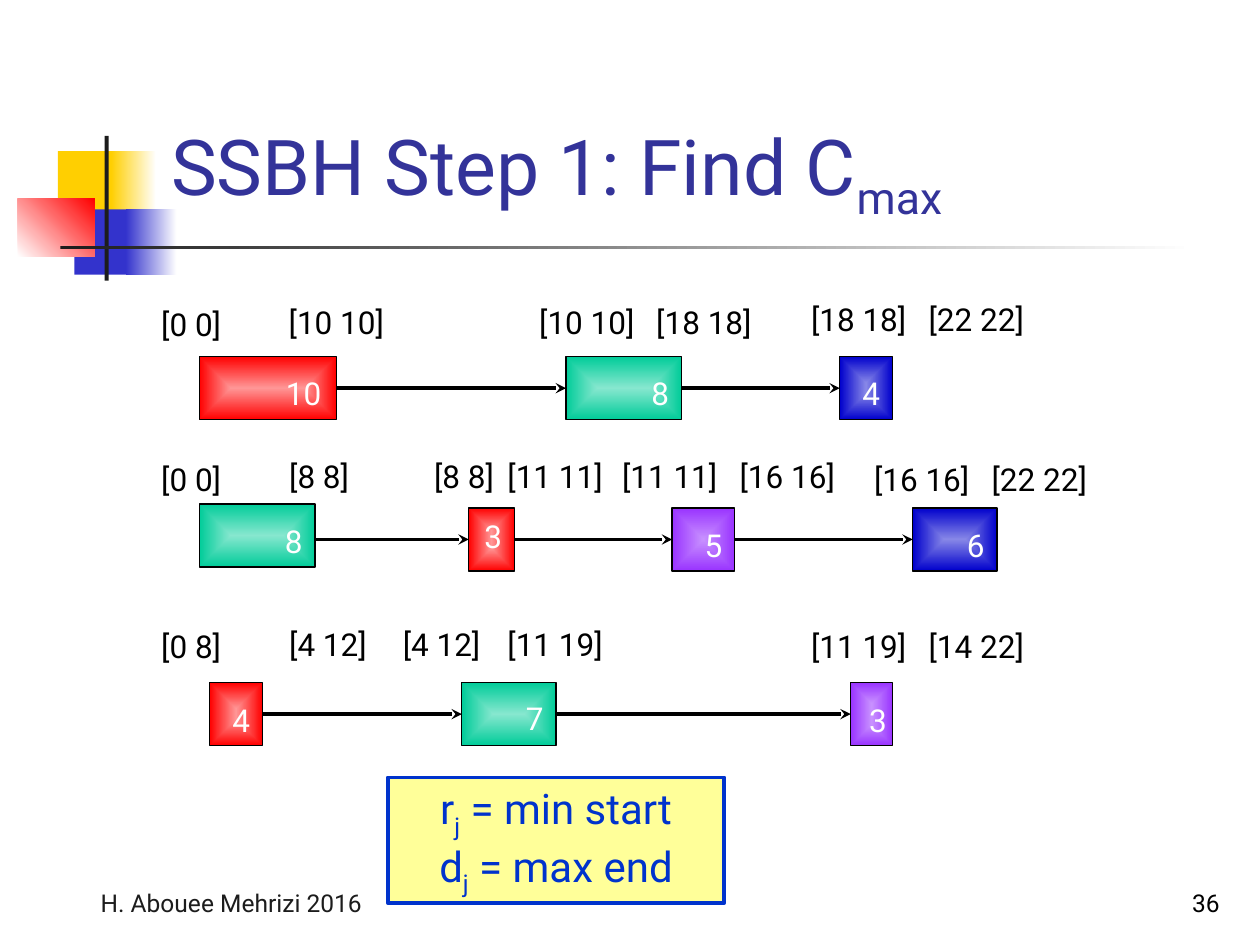
from dataclasses import dataclass

from lxml.etree import SubElement
from pptx import Presentation
from pptx.dml.color import RGBColor
from pptx.enum.shapes import MSO_CONNECTOR, MSO_SHAPE
from pptx.enum.text import MSO_ANCHOR, PP_ALIGN
from pptx.oxml.ns import qn
from pptx.util import Cm, Pt


@dataclass(frozen=True)
class Theme:
    font: str = "Roboto"
    title_size: int = 44
    note_size: int = 24
    label_size: int = 18
    footer_size: int = 14
    title: str = "333399"
    ink: str = "000000"
    dark: str = "1C1C1C"
    white: str = "FFFFFF"
    yellow: str = "FFCF01"
    blue: str = "3333CC"
    bright_red: str = "FF0000"
    note_fill: str = "FFFF99"
    note_line: str = "0033CC"
    # Machine colours: centre and edge of the gradient
    red: tuple = ("FF9696", "FF0000")
    green: tuple = ("87E7CF", "00CC99")
    navy: tuple = ("8787E7", "0000CC")
    purple: tuple = ("C891FF", "9933FF")


theme = Theme()


def write_text(shape, text, size=theme.label_size, color=theme.ink, align=PP_ALIGN.LEFT,
               anchor=MSO_ANCHOR.TOP, insets=(0.25, 0.13, 0.25, 0.13)):
    """Write one paragraph per line; text between underscores is subscript."""
    frame = shape.text_frame
    frame.word_wrap = True
    frame.vertical_anchor = anchor
    frame.margin_left, frame.margin_top, frame.margin_right, frame.margin_bottom = map(Cm, insets)
    for index, line in enumerate(text.split("\n")):
        paragraph = frame.add_paragraph() if index else frame.paragraphs[0]
        paragraph.alignment = align
        for part_index, part in enumerate(line.split("_")):
            if not part:
                continue
            run = paragraph.add_run()
            run.text = part
            run.font.name = theme.font
            run.font.size = Pt(size)
            run.font.color.rgb = RGBColor.from_string(color)
            if part_index % 2:
                run.font._element.set("baseline", "-25000")


def add_rectangle(left, top, width, height, colors, angle=None, line=None, line_width=0.75):
    """One colour fills solid; two run along the angle, or from the centre without one."""
    shape = slide.shapes.add_shape(MSO_SHAPE.RECTANGLE, *map(Cm, (left, top, width, height)))
    shape.shadow.inherit = False
    if isinstance(colors, str):
        shape.fill.solid()
        shape.fill.fore_color.rgb = RGBColor.from_string(colors)
    else:
        shape.fill.gradient()
        for stop, color in zip(shape.fill.gradient_stops, colors):
            stop.color.rgb = RGBColor.from_string(color)
        if angle is not None:
            shape.fill.gradient_angle = angle
        else:
            gradient = shape._element.spPr.find(qn("a:gradFill"))
            gradient.remove(gradient.find(qn("a:lin")))
            center = SubElement(gradient, qn("a:path"), {"path": "rect"})
            SubElement(center, qn("a:fillToRect"), dict.fromkeys("ltrb", "50000"))
    if line:
        shape.line.color.rgb = RGBColor.from_string(line)
        shape.line.width = Pt(line_width)
    else:
        shape.line.fill.background()
    return shape


presentation = Presentation()
presentation.slide_width, presentation.slide_height = Cm(25.4), Cm(19.05)
slide = presentation.slides.add_slide(presentation.slide_layouts[6])

# Corner ornament and title rule
for left, top, width, height, colors, angle in [
    (1.17, 3.05, 1.22, 1.32, theme.yellow, None),
    (2.24, 3.05, 0.91, 1.32, (theme.yellow, theme.white), 0),
    (1.5, 4.22, 1.17, 1.32, theme.blue, None),
    (2.54, 4.22, 1.02, 1.32, (theme.blue, theme.white), 0),
    (0.36, 4.01, 1.55, 1.17, (theme.white, theme.bright_red), 45),
    (2.11, 2.74, 0.08, 2.92, theme.dark, None),
    (1.22, 4.95, 22.86, 0.08, (theme.dark, theme.white), 0),
]:
    add_rectangle(left, top, width, height, colors, angle)

# Title, footer and page number
for text, box, size, color, align in [
    ("SSBH Step 1: Find C_max_", (3.2, 0.58, 21.64, 4.06),
     theme.title_size, theme.title, PP_ALIGN.LEFT),
    ("H. Abouee Mehrizi 2016", (0.64, 17.35, 8.05, 1.27),
     theme.footer_size, theme.dark, PP_ALIGN.CENTER),
    ("36", (19.56, 17.35, 5.28, 1.27), theme.footer_size, theme.ink, PP_ALIGN.RIGHT),
]:
    write_text(slide.shapes.add_textbox(*map(Cm, box)), text, size=size, color=color,
               align=align, anchor=MSO_ANCHOR.BOTTOM)

# Job chains: duration, colours, left, top, width, right and bottom inset of the number
job_height = 1.27
job_chains = [
    [("10", theme.red, 4.02, 7.19, 2.76, 0.3, 0.15),
     ("8", theme.green, 11.41, 7.19, 2.33, 0.25, 0.15),
     ("4", theme.navy, 16.93, 7.19, 1.06, 0.25, 0.15)],
    [("8", theme.green, 4.02, 10.16, 2.33, 0.25, 0.15),
     ("3", theme.red, 9.45, 10.24, 0.92, 0.25, 0.33),
     ("5", theme.purple, 13.55, 10.24, 1.26, 0.25, 0.15),
     ("6", theme.navy, 18.4, 10.24, 1.7, 0.25, 0.15)],
    [("4", theme.red, 4.23, 13.76, 1.06, 0.25, 0.13),
     ("7", theme.green, 9.31, 13.76, 1.9, 0.25, 0.18),
     ("3", theme.purple, 17.15, 13.76, 0.85, 0.12, 0.13)],
]
for chain in job_chains:
    previous = None
    for duration, colors, left, top, width, right_inset, bottom_inset in chain:
        job = add_rectangle(left, top, width, job_height, colors, line=theme.ink)
        write_text(job, duration, color=theme.white, align=PP_ALIGN.RIGHT,
                   anchor=MSO_ANCHOR.BOTTOM, insets=(0, 0, right_inset, bottom_inset))
        if previous is not None:
            middle = job.top + job.height // 2
            arrow = slide.shapes.add_connector(
                MSO_CONNECTOR.STRAIGHT, previous.left + previous.width, middle, job.left, middle)
            # Keep the arrow level when the previous job sits higher
            if previous.top == job.top:
                arrow.begin_connect(previous, 3)
            arrow.end_connect(job, 1)
            arrow.line.color.rgb = RGBColor.from_string(theme.ink)
            arrow.line.width = Pt(2)
            SubElement(arrow.line._get_or_add_ln(), qn("a:tailEnd"), {"type": "stealth"})
            SubElement(arrow._element.spPr, qn("a:effectLst"))
        previous = job

# Start and end windows: text, left, top
for text, left, top in [
    ("[0 0]", 3, 6.02), ("[10 10]", 5.57, 5.97), ("[10 10]", 10.62, 5.97),
    ("[18 18]", 12.98, 5.97), ("[18 18]", 16.1, 5.92), ("[22 22]", 18.47, 5.92),
    ("[0 0]", 3, 9.14), ("[8 8]", 5.58, 9.09), ("[8 8]", 8.5, 9.09),
    ("[11 11]", 9.98, 9.09), ("[11 11]", 12.29, 9.09), ("[16 16]", 14.66, 9.09),
    ("[16 16]", 17.37, 9.14), ("[22 22]", 19.74, 9.14),
    ("[0 8]", 3, 12.52), ("[4 12]", 5.58, 12.47), ("[4 12]", 7.87, 12.47),
    ("[11 19]", 9.98, 12.47), ("[11 19]", 16.1, 12.52), ("[14 22]", 18.47, 12.52),
]:
    write_text(slide.shapes.add_textbox(Cm(left), Cm(top), Cm(2.54), Cm(1.02)), text)

# Definition box
definition = add_rectangle(7.82, 15.67, 6.78, 2.54, theme.note_fill,
                           line=theme.note_line, line_width=2)
write_text(definition, "r_j_ = min start\nd_j_ = max end", size=theme.note_size,
           color=theme.note_line, align=PP_ALIGN.CENTER, anchor=MSO_ANCHOR.MIDDLE)

presentation.save("out.pptx")
